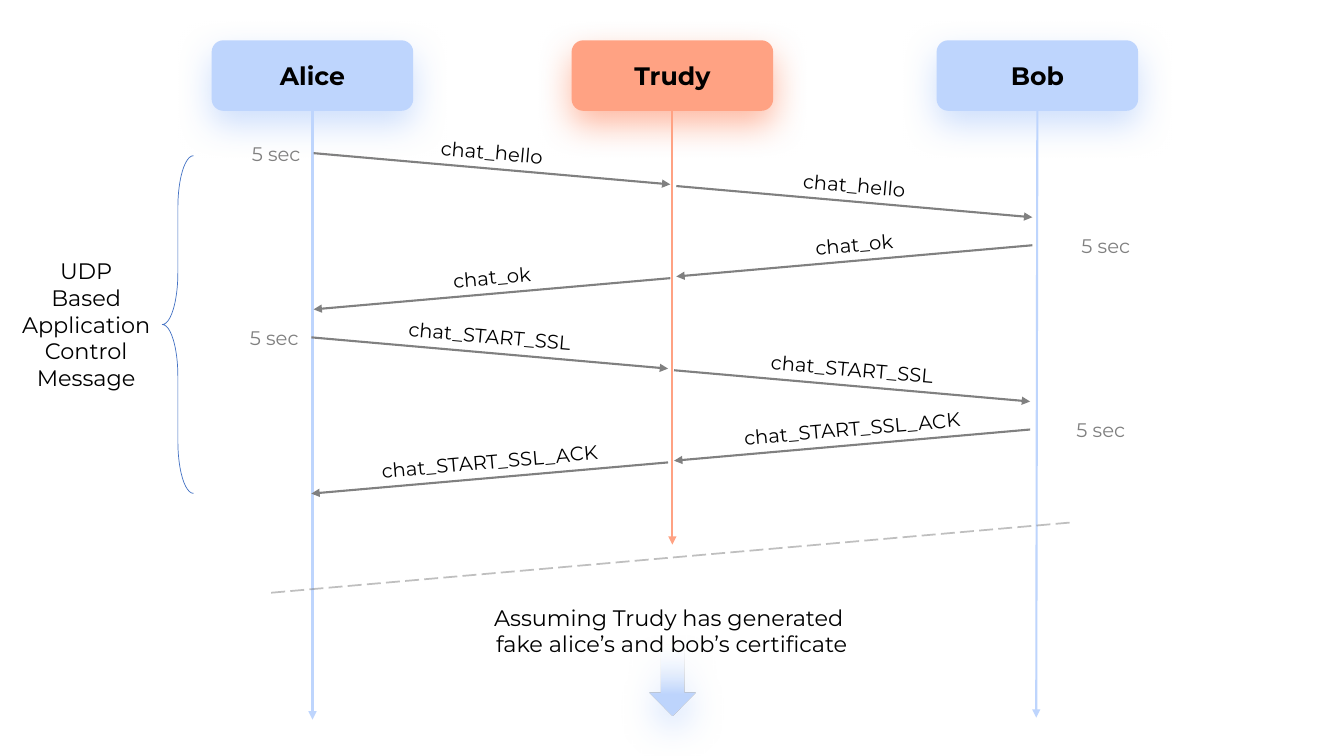
import pptx
import pptx.util
import pptx.dml.color
import pptx.enum.dml
import pptx.enum.shapes
import pptx.enum.text
import pptx.oxml.ns
from lxml import etree

Pt = pptx.util.Pt
RGB = pptx.dml.color.RGBColor
SHAPE = pptx.enum.shapes.MSO_SHAPE
ALIGN = pptx.enum.text.PP_ALIGN
qn = pptx.oxml.ns.qn

BLUE = RGB(0xBE, 0xD5, 0xFD)
CORAL = RGB(0xFF, 0xA2, 0x83)
GRAY = RGB(0x80, 0x80, 0x80)
NAVY = RGB(0x44, 0x72, 0xC4)
BLACK = RGB(0, 0, 0)
WHITE = RGB(0xFF, 0xFF, 0xFF)
FONT = "Montserrat"

# Content: name, colour, box centre, lifeline foot (x, y)
ACTORS = [
    ("Alice", BLUE, 223.2, (223.2, 514)),
    ("Trudy", CORAL, 480.3, (480.3, 389)),
    ("Bob", BLUE, 741, (740.2, 512.6)),
]
# Message, label width, sent by Alice, shift of the row, left of the timer
MESSAGES = [
    ("chat_hello", 88.5, True, 0, 172.8),
    ("chat_ok", 71.3, False, 0, 765.4),
    ("chat_START_SSL", 134.6, True, -1.6, 171.4),
    ("chat_START_SSL_ACK", 170.6, False, -1.6, 761.8),
]
TIMER = "5 sec"
SCOPE = ["UDP", "Based", "Application", "Control", "Message"]
CLAIM = ["Assuming Trudy has generated ", "fake alice’s and bob’s certificate"]

# Layout
BOX_W, BOX_H, BOX_TOP = 144, 50.4, 28.8
LEGS = [(224, 478.8), (483.1, 737.4)]
ROW_TOP, ROW_STEP = 109.4, 65.8
DROP, LEG_STEP = 22.3, 23.5
LABEL_H, LABEL_UP, TILT = 24.2, 11.9, 5

deck = pptx.Presentation()
deck.slide_width, deck.slide_height = Pt(960), Pt(540)
slide = deck.slides.add_slide(deck.slide_layouts[6])
shapes = slide.shapes


def write(text, shape=None, at=None, size=14, color=BLACK, bold=False,
          align=ALIGN.CENTER, turn=0):
    """Write one line or a list of lines in a shape or a new text box."""
    if shape is None:
        shape = shapes.add_textbox(*map(Pt, at))
        shape.text_frame.word_wrap = False
        shape.rotation = turn
    frame = shape.text_frame
    lines = [text] if isinstance(text, str) else text
    for i, line in enumerate(lines):
        para = frame.paragraphs[0] if i == 0 else frame.add_paragraph()
        para.alignment = align
        run = para.add_run()
        run.text = line
        run.font.name, run.font.size = FONT, Pt(size)
        run.font.bold, run.font.color.rgb = bold, color


def fade(parent, share):
    for tone in parent.iter(qn("a:srgbClr")):
        etree.SubElement(tone, qn("a:alpha"), val=str(share * 1000))


def glow(shape, color):
    """Soft coloured shadow below a shape."""
    shape.shadow.inherit = False
    effects = shape._element.spPr.find(qn("a:effectLst"))
    outer = etree.SubElement(
        effects, qn("a:outerShdw"), blurRad=str(Pt(25)), dist=str(Pt(10)),
        dir="5400000", algn="t", rotWithShape="0")
    etree.SubElement(outer, qn("a:srgbClr"), val=str(color))
    fade(outer, 75)


def draw(start, end, color, width=1.5, head=True):
    line = shapes.add_connector(
        pptx.enum.shapes.MSO_CONNECTOR.STRAIGHT, *map(Pt, start + end))
    line.line.color.rgb, line.line.width = color, Pt(width)
    if head:
        etree.SubElement(line.line._get_or_add_ln(), qn("a:tailEnd"),
                         type="triangle")
    etree.SubElement(line._element.spPr, qn("a:effectLst"))
    return line


# Actors and lifelines
for name, color, mid, foot in ACTORS:
    box = shapes.add_shape(SHAPE.ROUNDED_RECTANGLE, Pt(mid - BOX_W / 2),
                           Pt(BOX_TOP), Pt(BOX_W), Pt(BOX_H))
    box.fill.solid()
    box.fill.fore_color.rgb = color
    box.line.fill.background()
    glow(box, color)
    box.text_frame.vertical_anchor = pptx.enum.text.MSO_ANCHOR.MIDDLE
    write(name, box, size=18, bold=True)
    draw((mid, BOX_TOP + BOX_H), foot, color)

# Messages, each passed on by Trudy in two legs
for row, (name, wide, ahead, shift, timer) in enumerate(MESSAGES):
    top = ROW_TOP + row * ROW_STEP
    for leg, (left, right) in enumerate(LEGS if ahead else LEGS[::-1]):
        y = top + leg * LEG_STEP
        x1, x2 = (left, right) if ahead else (right, left)
        draw((x1 + shift, y), (x2 + shift, y + DROP), GRAY)
        mid_x, mid_y = (x1 + x2) / 2 + shift, y + DROP / 2 - LABEL_UP
        write(name, at=(mid_x - wide / 2, mid_y - LABEL_H / 2, wide, LABEL_H),
              turn=TILT if ahead else -TILT)
    write(TIMER, at=(timer, top - 11.5, 49.7, LABEL_H), color=GRAY,
          align=ALIGN.LEFT)

# Brace and its caption
brace = shapes.add_shape(SHAPE.LEFT_BRACE, Pt(115.9), Pt(111.2), Pt(22.3),
                         Pt(241.2))
brace.adjustments[0] = 1.666
brace.fill.background()
brace.line.color.rgb, brace.line.width = NAVY, Pt(0.5)
brace.shadow.inherit = False
write(SCOPE, at=(7.2, 180, 108.7, 104.4), size=16)

# Dashed divider
cut = draw((193.7, 423.4), (767.5, 373), GRAY, 1.25, head=False)
cut.line.dash_style = pptx.enum.dml.MSO_LINE.LONG_DASH
fade(cut._element, 50)

# Arrow to the next step, fading in from the top
arrow = shapes.add_shape(SHAPE.DOWN_ARROW, Pt(463.7), Pt(460.8), Pt(33.1),
                         Pt(50.4))
arrow.fill.gradient()
arrow.fill.gradient_angle = 270
for stop, place, color in zip(arrow.fill.gradient_stops, (0, 0.7),
                              (WHITE, BLUE)):
    stop.position, stop.color.rgb = place, color
fade(arrow._element.spPr.find(".//" + qn("a:gs")), 0)
arrow.line.fill.background()
glow(arrow, BLUE)
write(CLAIM, at=(342, 427.7, 275.8, 46.1), size=16)

deck.save("out.pptx")
